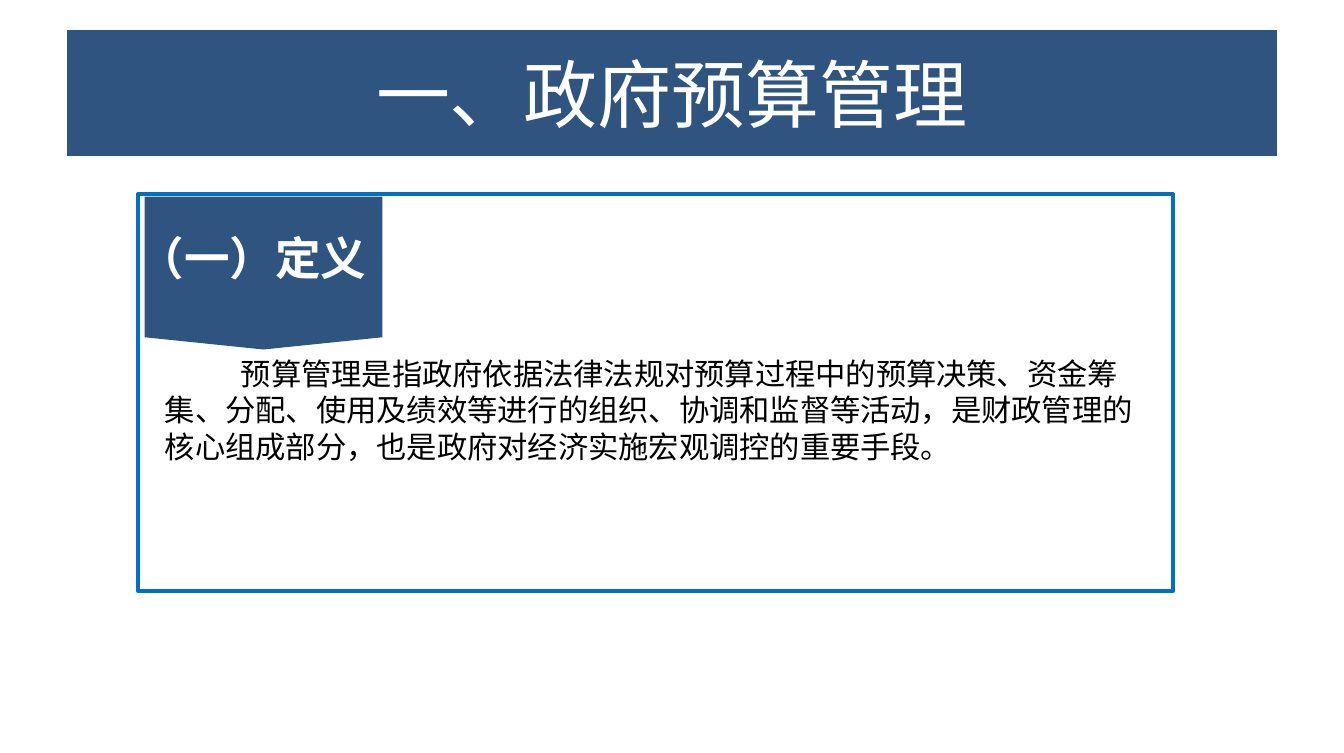
from lxml import etree
from pptx import Presentation
from pptx.dml.color import RGBColor
from pptx.enum.shapes import MSO_SHAPE
from pptx.enum.text import MSO_ANCHOR, PP_ALIGN
from pptx.oxml.ns import qn
from pptx.util import Emu, Pt

RECT, PLATE = MSO_SHAPE.RECTANGLE, MSO_SHAPE.PENTAGON
LEFT, CENTER = PP_ALIGN.LEFT, PP_ALIGN.CENTER
TOP, MIDDLE = MSO_ANCHOR.TOP, MSO_ANCHOR.MIDDLE
SCALE = 6694  # EMU per px
NAVY, BLUE, WHITE, BLACK = "305480", "0070C0", "FFFFFF", "000000"


def px(*nums):
    return [Emu(n * SCALE) for n in nums]


def color(code):
    return RGBColor.from_string(code)


def add_box(slide, kind, box, fill, line=None):
    shape = slide.shapes.add_shape(kind, *px(*box))
    shape.shadow.inherit = False
    shape.fill.solid()
    shape.fill.fore_color.rgb = color(fill)
    if line:
        shape.line.color.rgb = color(line)
        shape.line.width = Pt(2)
    else:
        shape.line.fill.background()
    return shape


def add_label(slide, box):
    return slide.shapes.add_textbox(*px(*box))


def write(shape, text, size, font, tint, align=CENTER, anchor=TOP,
          pad=(10, 5), bold=False, indent=0):
    frame = shape.text_frame
    frame.word_wrap = True
    frame.vertical_anchor = anchor
    frame.margin_left, frame.margin_top = px(*pad)
    frame.margin_right, frame.margin_bottom = px(*pad)
    para = frame.paragraphs[0]
    para.alignment = align
    if indent:
        props = para._p.get_or_add_pPr()
        props.set("marL", "0")
        props.set("indent", str(indent * SCALE))
    run = para.add_run()
    run.text = text
    run.font.size = Pt(size)
    run.font.bold = bold
    run.font.color.rgb = color(tint)
    run.font.name = font
    # Chinese text takes the same typeface
    etree.SubElement(run._r.get_or_add_rPr(), qn("a:ea"), typeface=font)


def main():
    deck = Presentation()
    deck.slide_width, deck.slide_height = px(1344, 753)
    slide = deck.slides.add_slide(deck.slide_layouts[6])

    # Frame and tag
    add_box(slide, RECT, (138, 194, 1035, 397), WHITE, BLUE)
    tag = add_box(slide, PLATE, (187, 154, 153, 238), NAVY)
    tag.adjustments[0] = 0.08
    tag.rotation = 90
    name = add_label(slide, (102, 225, 301, 66))
    write(name, "（一）定义", 24, "Arial", WHITE, bold=True)

    # Definition
    body = add_label(slide, (165, 355, 980, 111))
    write(body, "预算管理是指政府依据法律法规对预算过程中的预算决策、资金筹集、"
          "分配、使用及绩效等进行的组织、协调和监督等活动，是财政管理的"
          "核心组成部分，也是政府对经济实施宏观调控的重要手段。",
          16, "Calibri", BLACK, align=LEFT, pad=(0, 0), indent=76)

    # Title
    title = add_box(slide, RECT, (67, 30, 1210, 126), NAVY)
    write(title, "一、政府预算管理", 39, "Calibri", WHITE,
          anchor=MIDDLE, pad=(12, 6))

    deck.save("out.pptx")


if __name__ == "__main__":
    main()
